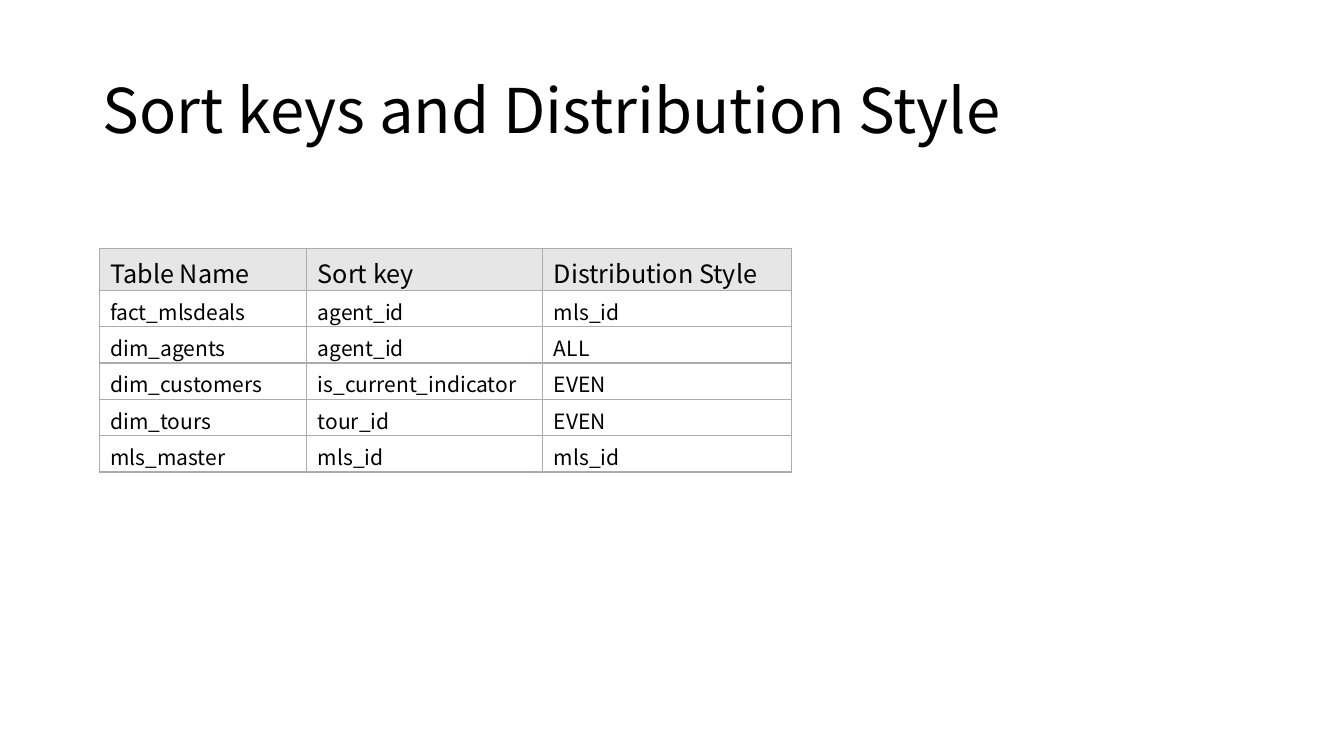
from itertools import product

from lxml.etree import SubElement
from pptx import Presentation
from pptx.dml.color import RGBColor
from pptx.enum.text import MSO_ANCHOR
from pptx.oxml.ns import qn
from pptx.util import Cm, Pt

HUES = {"ink": "000000", "head": "E7E6E6", "rule": "AFABAB"}
FONT = "Noto Sans CJK SC"
ROWS = [
    ("Table Name", "Sort key", "Distribution Style"),
    ("fact_mlsdeals", "agent_id", "mls_id"),
    ("dim_agents", "agent_id", "ALL"),
    ("dim_customers", "is_current_indicator", "EVEN"),
    ("dim_tours", "tour_id", "EVEN"),
    ("mls_master", "mls_id", "mls_id"),
]
WIDTHS = (5.23, 5.95, 6.27)
HEAD, BODY = 1.04, 0.91
INSETS = {"margin_left": Cm(0.28), "margin_right": Cm(0.28),
          "margin_top": Cm(0.14), "margin_bottom": Cm(0.14)}


def apply(item, values):
    """Set each attribute of item from a dict."""
    for name, value in values.items():
        setattr(item, name, value)


def write(par, text, size):
    """Put one styled run into a paragraph."""
    run = par.add_run()
    run.text = text
    apply(run.font, {"name": FONT, "size": Pt(size), "bold": False})
    run.font.color.rgb = RGBColor.from_string(HUES["ink"])


def border(cell):
    """Rule all four sides of a cell."""
    props = cell._tc.get_or_add_tcPr()
    for spot, side in enumerate(("lnL", "lnR", "lnT", "lnB")):
        line = SubElement(props, qn(f"a:{side}"), w=str(Pt(1)))
        fill = SubElement(line, qn("a:solidFill"))
        SubElement(fill, qn("a:srgbClr"), val=HUES["rule"])
        props.insert(spot, line)


def title(slide, box, text):
    """Place the heading in its box."""
    frame = slide.shapes.add_textbox(*map(Cm, box)).text_frame
    apply(frame, {"word_wrap": True, "vertical_anchor": MSO_ANCHOR.MIDDLE})
    par = frame.paragraphs[0]
    par.line_spacing = 0.9
    write(par, text, 44)


def grid(slide, box, rows):
    """Place the key table in its box."""
    table = slide.shapes.add_table(len(rows), len(WIDTHS), *map(Cm, box)).table
    apply(table, {"first_row": False, "horz_banding": False})
    for col, width in zip(table.columns, WIDTHS):
        col.width = Cm(width)
    for num, row in enumerate(table.rows):
        row.height = Cm(BODY if num else HEAD)
    for num, col in product(range(len(rows)), range(len(WIDTHS))):
        cell = table.cell(num, col)
        apply(cell, INSETS)
        if num:
            cell.vertical_anchor = MSO_ANCHOR.MIDDLE
            cell.fill.background()
        else:
            cell.fill.solid()
            cell.fill.fore_color.rgb = RGBColor.from_string(HUES["head"])
        border(cell)
        write(cell.text_frame.paragraphs[0], rows[num][col], 15 if num else 18)


def main():
    """Build and save the slide."""
    deck = Presentation()
    apply(deck, {"slide_width": Cm(33.87), "slide_height": Cm(19.05)})
    slide = deck.slides.add_slide(deck.slide_layouts[6])
    title(slide, (2.33, 1.01, 29.21, 3.68), "Sort keys and Distribution Style")
    high = HEAD + BODY * (len(ROWS) - 1)
    grid(slide, (2.5, 6.27, sum(WIDTHS), high), ROWS)
    deck.save("out.pptx")


if __name__ == "__main__":
    main()
